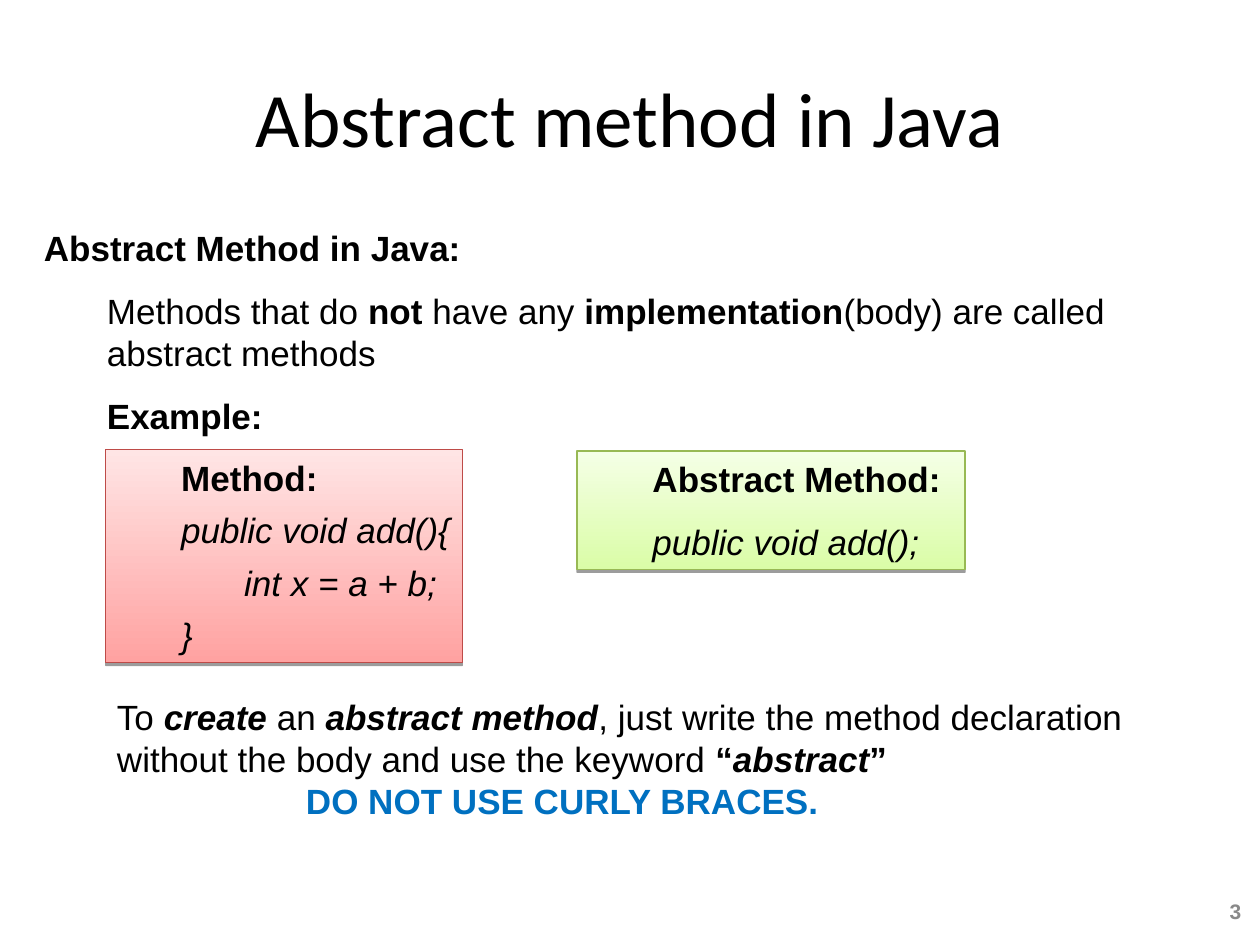
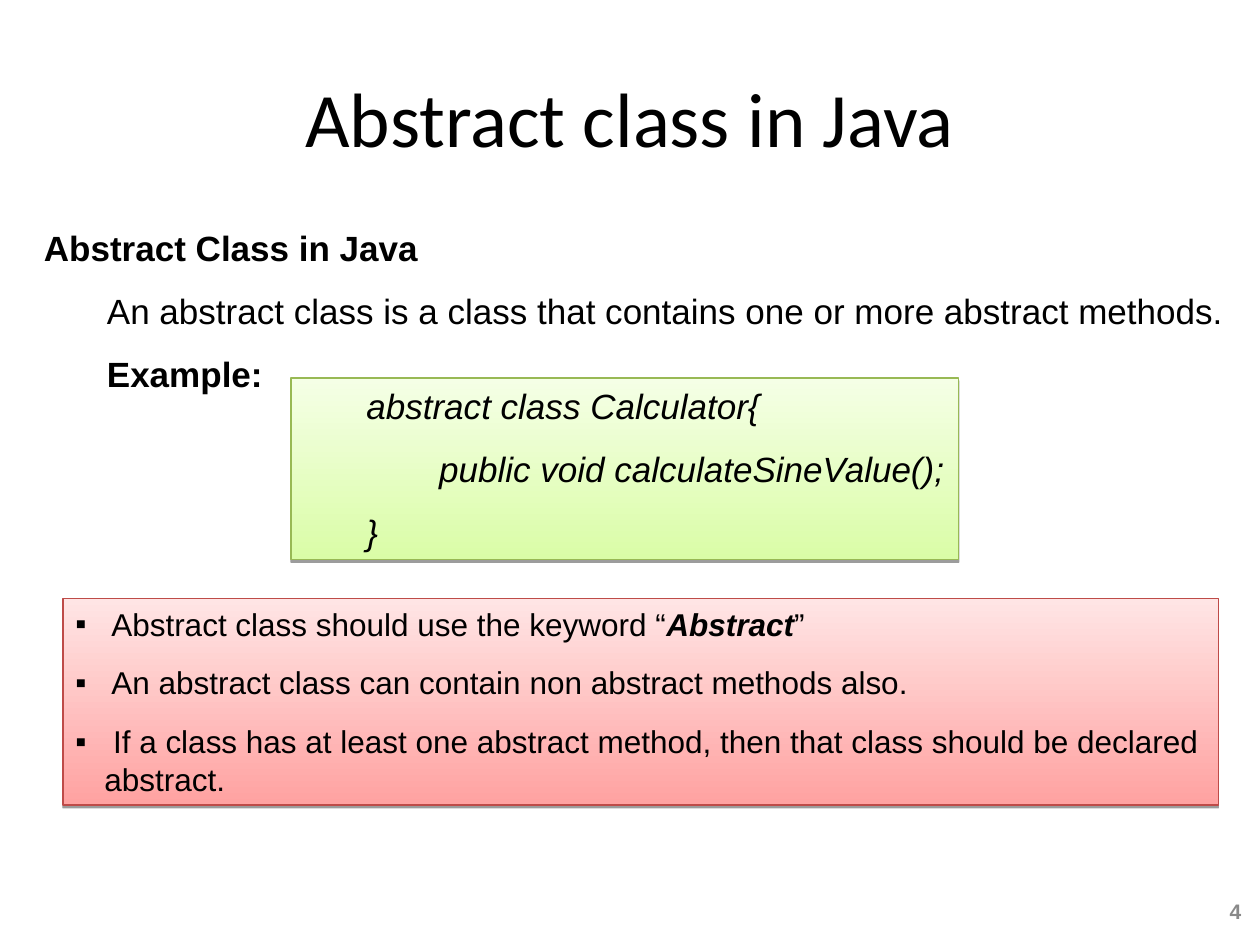
import pptx
import pptx.dml.color
import pptx.enum.shapes
import pptx.enum.text
import pptx.oxml
import pptx.oxml.ns
import pptx.util
from pptx.util import Inches

COLOURS = {
    "text": "000000",
    "number": "898989",
    "warning": "0070C0",
    "red": "BE4B48",
    "red_dark": "FFA2A1",
    "red_light": "FFE5E5",
    "green": "98B954",
    "green_dark": "DAFDA7",
    "green_light": "F5FFE6",
}
ANCHOR = pptx.enum.text.MSO_ANCHOR
ALIGN = pptx.enum.text.PP_ALIGN
SHADOW = (
    '<a:outerShdw xmlns:a="http://schemas.openxmlformats.org/drawingml/2006/main" '
    'blurRad="0" dist="20000" dir="5400000" rotWithShape="0">'
    '<a:srgbClr val="000000"><a:alpha val="38000"/></a:srgbClr></a:outerShdw>'
)


def rgb(name):
    return pptx.dml.color.RGBColor.from_string(COLOURS[name])


def write(paragraph, runs, size=20, font="Arial", colour="text", style="",
          level=0, before=0, align=ALIGN.LEFT, bullet=None):
    paragraph.alignment = align
    paragraph.level = level
    paragraph.space_before = pptx.util.Pt(before)
    properties = paragraph._p.get_or_add_pPr()
    hanging = Inches(0.23) if bullet else 0
    properties.set("marL", str(Inches(0.5 * level) + hanging))
    properties.set("indent", str(-hanging))
    if bullet:
        for tag, value in (("a:buFont", {"typeface": font}), ("a:buChar", {"char": bullet})):
            properties.append(properties.makeelement(pptx.oxml.ns.qn(tag), value))
    for words, run_style in [(runs, style)] if isinstance(runs, str) else runs:
        run = paragraph.add_run()
        run.text = words
        run.font.size = pptx.util.Pt(size)
        run.font.name = font
        run.font.color.rgb = rgb(colour)
        run.font.bold = "b" in run_style
        run.font.italic = "i" in run_style


class Deck:
    def __init__(self, first_number):
        self.prs = pptx.Presentation()
        self.prs.slide_width = Inches(10)
        self.prs.slide_height = Inches(7.5)
        self.number = first_number
        self.slide = None

    def start(self, heading):
        self.slide = self.prs.slides.add_slide(self.prs.slide_layouts[5])
        title = self.slide.shapes.title
        title.left, title.top = Inches(0.5), Inches(0.3)
        title.width, title.height = Inches(9), Inches(1.25)
        title.text_frame.vertical_anchor = ANCHOR.MIDDLE
        write(title.text_frame.paragraphs[0], heading, size=44, font="Calibri",
              align=ALIGN.CENTER)
        self.text(9.46, 7.06, 0.49, 0.35,
                  [(str(self.number), dict(size=12, colour="number", style="b",
                                           align=ALIGN.RIGHT))],
                  anchor=ANCHOR.MIDDLE)
        self.number += 1

    def fill_frame(self, frame, lines, anchor=ANCHOR.TOP, **shared):
        frame.word_wrap = True
        frame.vertical_anchor = anchor
        for index, (runs, own) in enumerate(lines):
            paragraph = frame.add_paragraph() if index else frame.paragraphs[0]
            write(paragraph, runs, **{**shared, **own})

    def text(self, left, top, width, height, lines, **options):
        box = self.slide.shapes.add_textbox(
            Inches(left), Inches(top), Inches(width), Inches(height))
        self.fill_frame(box.text_frame, lines, **options)

    def introduction(self, width, height, heading, definition):
        self.text(0.25, 1.75, width, height, [
            (heading, dict(style="b")),
            (definition, dict(level=1)),
            ("Example:", dict(level=1, style="b")),
        ], before=12)

    def panel(self, left, top, width, height, hue, lines, **options):
        panel = self.slide.shapes.add_shape(
            pptx.enum.shapes.MSO_SHAPE.RECTANGLE,
            Inches(left), Inches(top), Inches(width), Inches(height))
        panel.fill.gradient()
        panel.fill.gradient_angle = 90
        for stop, shade in zip(panel.fill.gradient_stops, ("dark", "light")):
            stop.color.rgb = rgb(f"{hue}_{shade}")
        panel.line.color.rgb = rgb(hue)
        panel.line.width = pptx.util.Pt(0.75)
        panel.shadow.inherit = False
        effects = panel._element.spPr.find(pptx.oxml.ns.qn("a:effectLst"))
        effects.append(pptx.oxml.parse_xml(SHADOW))
        panel.text_frame.margin_right = Inches(0.03)
        self.fill_frame(panel.text_frame, lines, **options)


def abstract_method(deck):
    deck.start("Abstract method in Java")
    deck.introduction(9.42, 1.77, "Abstract Method in Java:", [
        ("Methods that do ", ""), ("not", "b"), (" have any ", ""),
        ("implementation", "b"), ("(body) are called abstract methods", ""),
    ])
    deck.panel(0.84, 3.57, 2.83, 1.69, "red", [
        ("Method:", dict(style="b")),
        ("public void add(){", {}),
        ("int x = a + b;", dict(level=2)),
        ("}", {}),
    ], level=1, before=6, style="i")
    deck.panel(4.58, 3.58, 3.08, 0.94, "green", [
        ("Abstract Method:", dict(style="b")),
        ("public void add();", dict(style="i")),
    ], level=1, before=12)
    deck.text(0.83, 5.47, 8.25, 1.1, [
        ([("To ", ""), ("create", "bi"), (" an ", ""), ("abstract method", "bi"),
          (", just write the method declaration without the body and use the keyword ", ""),
          ("“", "b"), ("abstract", "bi"), ("”", "b")], {}),
        ("DO NOT USE CURLY BRACES.", dict(level=3, style="b", colour="warning")),
    ])


def abstract_class(deck):
    deck.start("Abstract class in Java")
    deck.introduction(
        9.58, 1.44, "Abstract Class in Java",
        "An abstract class is a class that contains one or more abstract methods.")
    deck.panel(2.31, 3, 5.3, 1.44, "green", [
        ("abstract class Calculator{", {}),
        (" public void calculateSineValue();", dict(level=2)),
        ("}", {}),
    ], level=1, before=12, style="i")
    deck.panel(0.5, 4.75, 9.17, 1.64, "red", [
        ([(" Abstract class should use the keyword “", ""), ("Abstract", "bi"),
          ("”", "")], {}),
        (" An abstract class can contain non abstract methods also.", {}),
        (" If a class has at least one abstract method, then that class should be "
         "declared abstract.", {}),
    ], size=18, before=12, bullet="▪")


def main():
    deck = Deck(first_number=3)
    abstract_method(deck)
    abstract_class(deck)
    deck.prs.save("out.pptx")


if __name__ == "__main__":
    main()
